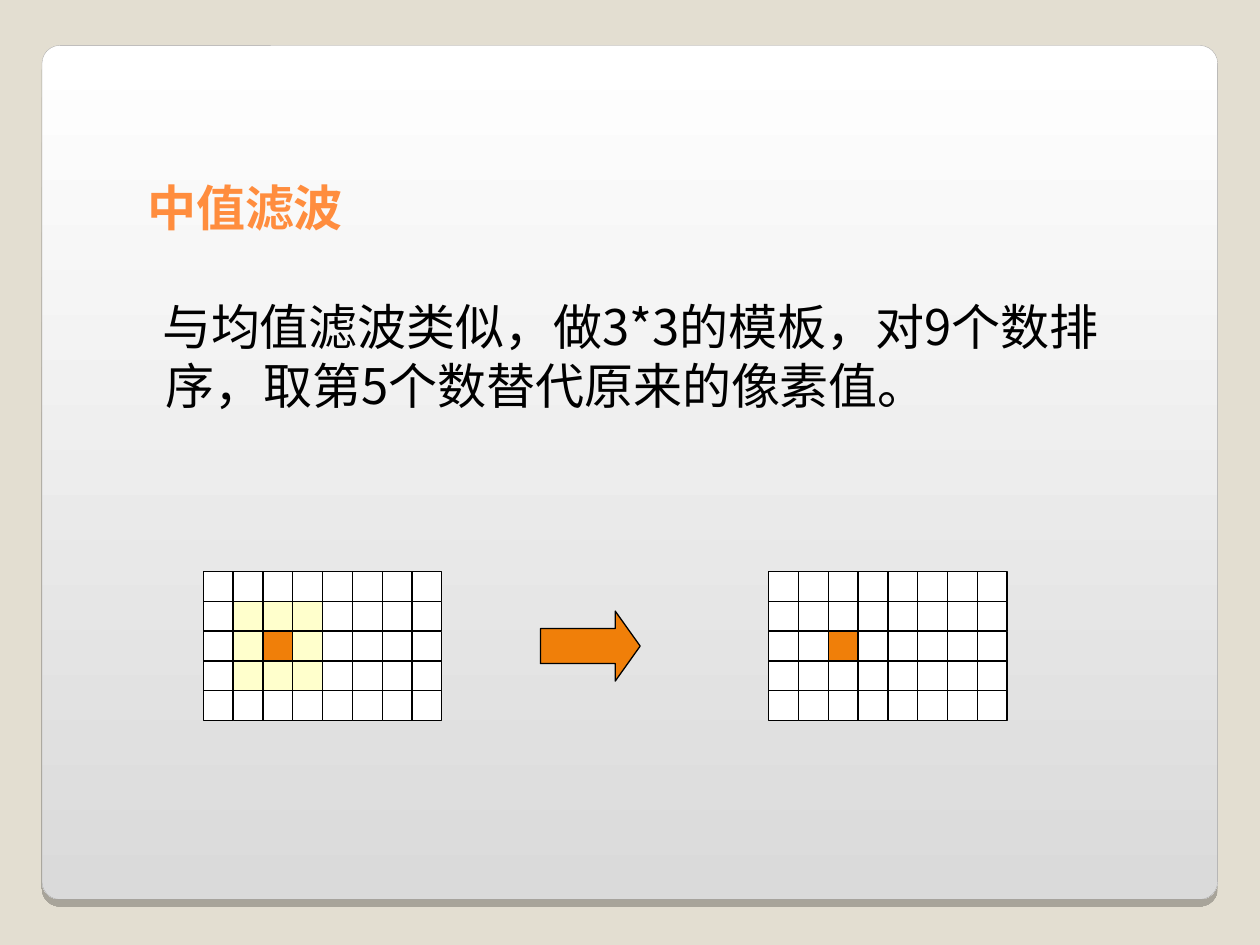
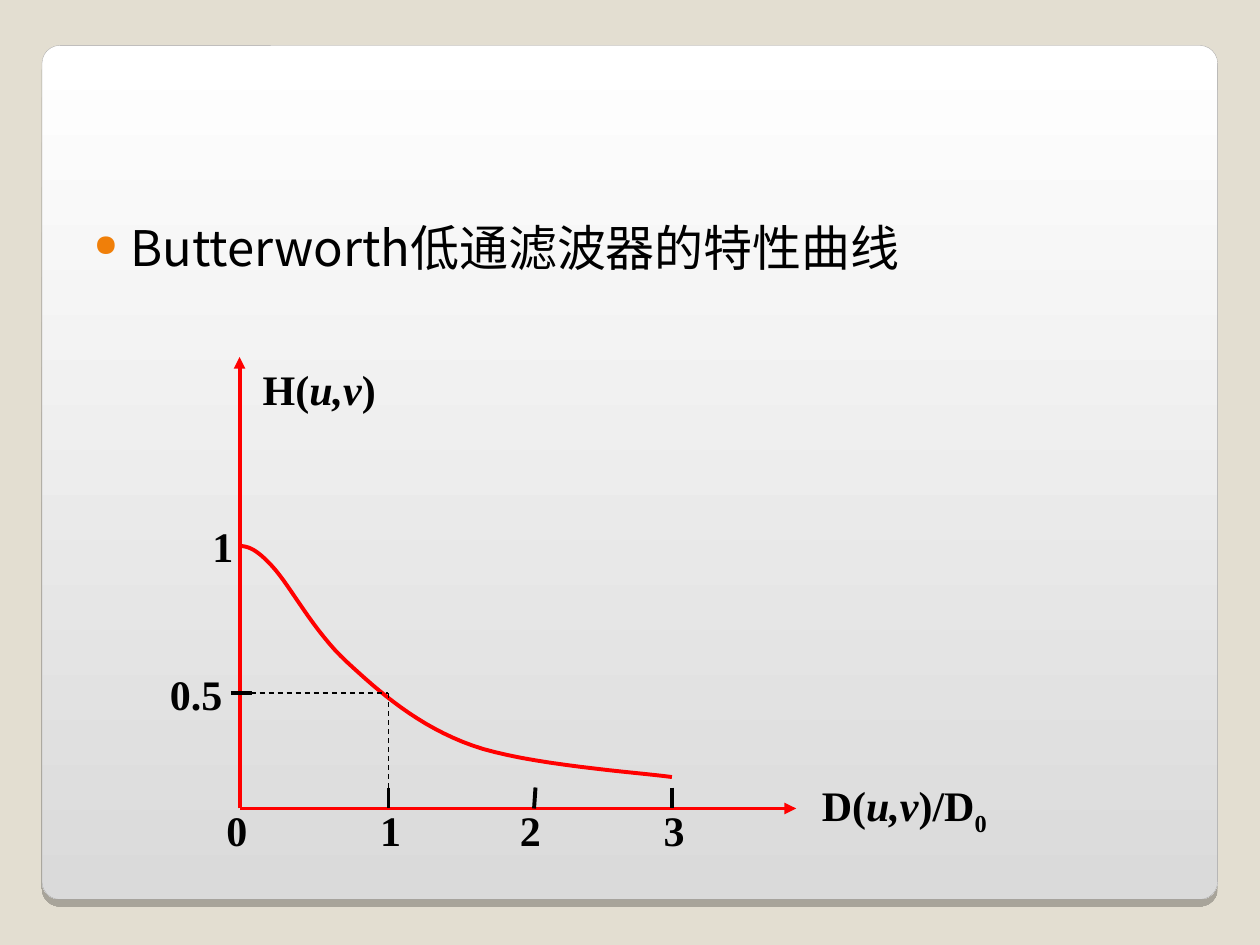
import pptx
import pptx.util
import pptx.dml.color
import pptx.enum.dml
import pptx.enum.shapes
import pptx.enum.text
import pptx.oxml
import pptx.oxml.ns
import lxml.etree

Pt = pptx.util.Pt
SHAPE = pptx.enum.shapes.MSO_SHAPE
ALIGN = pptx.enum.text.PP_ALIGN
ANCHOR = pptx.enum.text.MSO_ANCHOR
FIT = pptx.enum.text.MSO_AUTO_SIZE

HUES = {
    "sand": "E3DED1", "white": "FFFFFF", "ash": "DADADA", "edge": "A4A3A3",
    "black": "000000", "title": "FF8D3E", "orange": "F07F09",
    "cream": "FFFFCC", "red": "FF0000",
}
BODY = "Noto Sans CJK JP"
HEAD = "Noto Sans CJK SC"
MATH = "Times New Roman"
CELL = 17.04
ROWS, COLS = 5, 8


def rgb(hue):
    return pptx.dml.color.RGBColor.from_string(HUES[hue])


def sub(node, tag, **attrs):
    return lxml.etree.SubElement(node, pptx.oxml.ns.qn(tag), **attrs)


def add_run(para, text, face, size, hue="black", bold=False, slant=False, base=0):
    run = para.add_run()
    run.text = text
    font = run.font
    font.name, font.size = face, Pt(size)
    font.bold, font.italic = bold, slant
    font.color.rgb = rgb(hue)
    props = run._r.get_or_add_rPr()
    sub(props, "a:ea", typeface=face)
    if base:
        props.set("baseline", str(base * 1000))


def set_pad(frame, left, top, right, base):
    frame.margin_left, frame.margin_top = Pt(left), Pt(top)
    frame.margin_right, frame.margin_bottom = Pt(right), Pt(base)


def add_box(slide, kind, left, top, width, height, fill, line="black", weight=0.75):
    box = slide.shapes.add_shape(kind, Pt(left), Pt(top), Pt(width), Pt(height))
    box.shadow.inherit = False
    box.fill.solid()
    box.fill.fore_color.rgb = rgb(fill)
    box.line.color.rgb = rgb(line)
    box.line.width = Pt(weight)
    return box


def set_master(deck, slide):
    master = deck.slide_master
    master.background.fill.solid()
    master.background.fill.fore_color.rgb = rgb("sand")
    panel = add_box(slide, SHAPE.ROUNDED_RECTANGLE, 24, 26, 671.8, 488, "white", "edge", 0.17)
    panel.adjustments[0] = 0.021
    panel.fill.gradient()
    panel.fill.gradient_angle = 270
    for stop, hue in zip(panel.fill.gradient_stops, ("white", "ash")):
        stop.color.rgb = rgb(hue)
    effects = panel.element.spPr.find(pptx.oxml.ns.qn("a:effectLst"))
    shade = sub(effects, "a:outerShdw", blurRad="0", dist=str(Pt(4)),
                dir="5400000", algn="t", rotWithShape="0")
    tint = sub(shade, "a:srgbClr", val=HUES["black"])
    sub(tint, "a:alpha", val="25000")
    master.shapes.element.insert(2, panel.element)


def set_title(slide, text):
    title = slide.shapes.title
    title.left, title.top = Pt(70.6), Pt(82.8)
    title.width, title.height = Pt(390), Pt(55.4)
    frame = title.text_frame
    frame.auto_size = FIT.NONE
    frame.vertical_anchor = ANCHOR.BOTTOM
    set_pad(frame, 13.5, 0, 0, 2.9)
    para = frame.paragraphs[0]
    para.alignment = ALIGN.LEFT
    add_run(para, text, HEAD, 28, "title", bold=True)


def add_body(slide, text, left, top, width, height, indent, bullet=None):
    box = slide.shapes.add_textbox(Pt(left), Pt(top), Pt(width), Pt(height))
    frame = box.text_frame
    frame.word_wrap = True
    set_pad(frame, 14.4, 7.2, 7.2, 3.6)
    para = frame.paragraphs[0]
    para.space_before = Pt(2.5)
    para.line_spacing = Pt(33.7)
    props = para._p.get_or_add_pPr()
    props.set("marL", str(Pt(20.9)))
    props.set("indent", str(Pt(indent)))
    if bullet:
        sub(sub(props, "a:buClr"), "a:srgbClr", val=HUES["orange"])
        sub(props, "a:buSzPct", val="62000")
        sub(props, "a:buChar", char=bullet)
    add_run(para, text, BODY, 28)


def add_grid(slide, left, top, marks):
    for row in range(ROWS):
        for col in range(COLS):
            add_box(slide, SHAPE.RECTANGLE, left + col * CELL, top + row * CELL,
                    CELL, CELL, marks.get((row, col), "white"))


def add_line(slide, start, end, hue="black", weight=2.25, dash=False, arrow=False):
    line = slide.shapes.add_connector(
        pptx.enum.shapes.MSO_CONNECTOR.STRAIGHT, *(Pt(v) for v in (*start, *end)))
    line.line.color.rgb = rgb(hue)
    line.line.width = Pt(weight)
    if dash:
        line.line.dash_style = pptx.enum.dml.MSO_LINE.DASH
    if arrow:
        sub(line.line._get_or_add_ln(), "a:tailEnd", type="triangle")
    sub(line.element.spPr, "a:effectLst")


def add_label(slide, mid, width, parts, height=36):
    box = slide.shapes.add_textbox(
        Pt(mid[0] - width / 2), Pt(mid[1] - height / 2), Pt(width), Pt(height))
    frame = box.text_frame
    frame.word_wrap = False
    frame.auto_size = FIT.SHAPE_TO_FIT_TEXT
    frame.vertical_anchor = ANCHOR.MIDDLE
    para = frame.paragraphs[0]
    para.alignment = ALIGN.CENTER
    for text, style in parts:
        add_run(para, text, MATH, 24, bold=True, **style)


def bend(ends, part):
    rest = 1 - part
    weights = (rest ** 3, 3 * rest ** 2 * part, 3 * rest * part ** 2, part ** 3)
    return tuple(Pt(sum(w * p[axis] for w, p in zip(weights, ends))) for axis in (0, 1))


def add_curve(slide, knots, steps=16):
    dots = [bend(knots[i:i + 4], step / steps)
            for i in range(0, len(knots) - 1, 3) for step in range(1, steps + 1)]
    pen = slide.shapes.build_freeform(Pt(knots[0][0]), Pt(knots[0][1]))
    pen.add_line_segments(dots, close=False)
    curve = pen.convert_to_shape()
    curve.shadow.inherit = False
    curve.fill.background()
    curve.line.color.rgb = rgb("red")
    curve.line.width = Pt(2.25)


def draw_median(slide):
    set_title(slide, "中值滤波")
    add_body(slide, "与均值滤波类似，做3*3的模板，对9个数排序，取第5个数替代原来的像素值。",
             59.4, 162, 601, 85, -2)
    centre = {(2, 2): "orange"}
    window = {(row, col): "cream" for row in range(1, 4) for col in range(1, 4)}
    add_grid(slide, 116.2, 326.6, window | centre)
    arrow = add_box(slide, SHAPE.RIGHT_ARROW, 308.8, 349.2, 57, 40, "orange")
    arrow.adjustments[1] = 0.356
    add_grid(slide, 439.2, 326.6, centre)


def draw_filter(slide):
    add_body(slide, "Butterworth低通滤波器的特性曲线", 39.2, 117.2, 533, 72, -20.9, "●")
    zero, base, half, tick = 136.9, 462, 396, 450
    ones = 222
    add_line(slide, (zero, base), (455, base), "red", arrow=True)
    add_line(slide, (zero, base), (zero, 204), "red", arrow=True)
    add_line(slide, (132, half), (144, half))
    for top, foot in ((ones, ones), (306, 305.2), (384, 384)):
        add_line(slide, (top, tick), (foot, base))
    for text, mid in (("0", 135.4), ("1", 223.2), ("2", 303.1), ("3", 385.2)):
        add_label(slide, (mid, 474.2), 28, [(text, {})])
    add_label(slide, (127.4, 311.8), 28, [("1", {})])
    add_label(slide, (112, 396.4), 54, [("0.5", {})])
    pair = ("u,v", {"slant": True})
    add_label(slide, (182.4, 222.2), 84, [("H(", {}), pair, (")", {})])
    add_label(slide, (516.8, 462), 116,
              [("D(", {}), pair, (")/D", {}), ("0", {"base": -25})], 40)
    add_curve(slide, [
        (138, 312), (141.6, 312.5), (146, 313), (156, 324),
        (166, 335), (179.3, 360.7), (198, 378),
        (216.7, 395.3), (239, 415), (270, 426),
        (301, 437), (365, 441.4), (384, 444)])
    add_line(slide, (138, half), (ones, half), weight=0.75, dash=True)
    add_line(slide, (ones, half), (ones, base), weight=0.75, dash=True)


def main():
    deck = pptx.Presentation()
    deck.slide_width, deck.slide_height = Pt(720), Pt(540)
    median = deck.slides.add_slide(deck.slide_layouts.get_by_name("Title Only"))
    set_master(deck, median)
    draw_median(median)
    draw_filter(deck.slides.add_slide(deck.slide_layouts.get_by_name("Blank")))
    deck.save("out.pptx")


if __name__ == "__main__":
    main()
